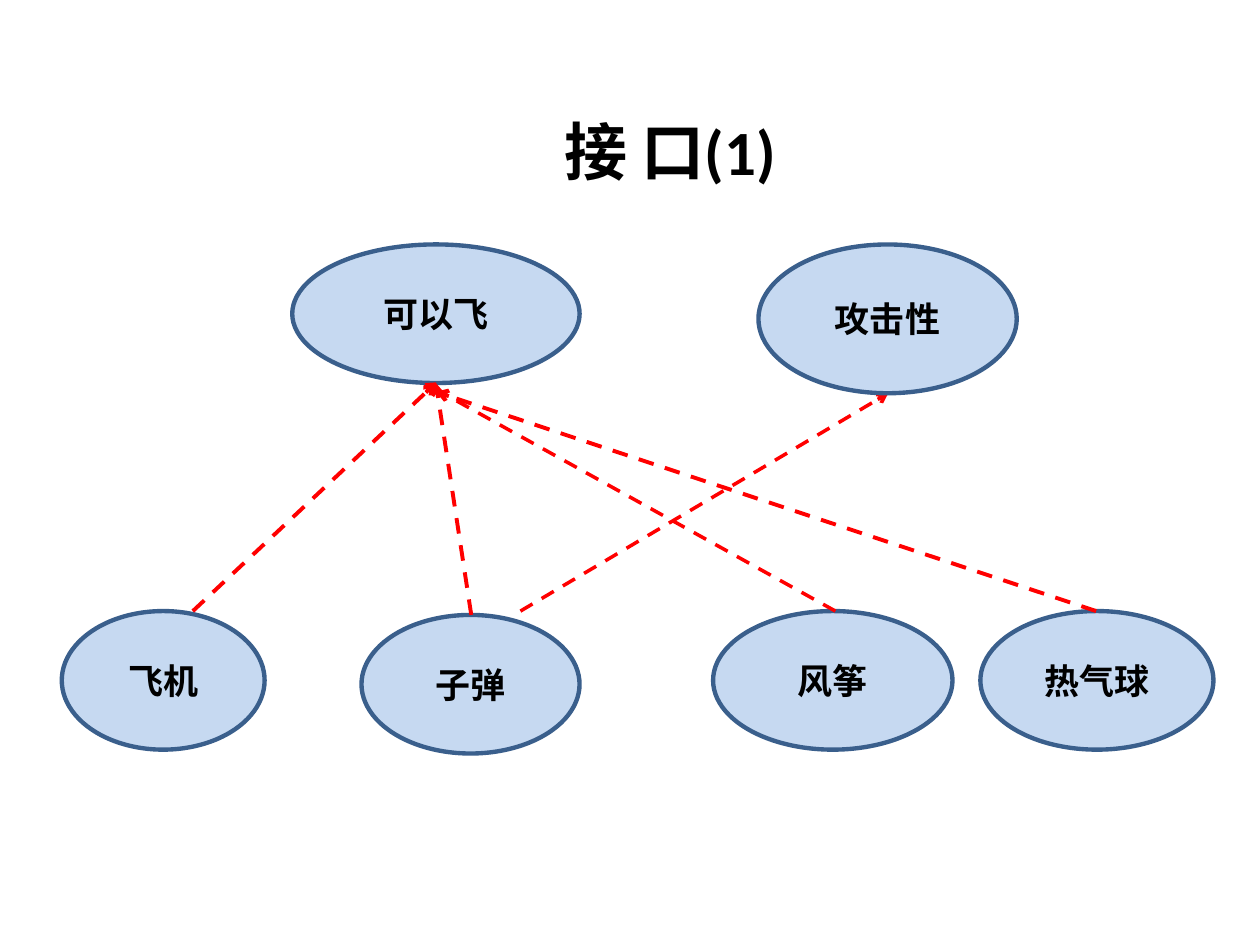
from dataclasses import dataclass

from lxml import etree
from pptx import Presentation
from pptx import util as u
from pptx.dml.color import RGBColor
from pptx.enum import dml, shapes, text
from pptx.oxml import ns


@dataclass(frozen=True)
class Theme:
    ink: RGBColor = RGBColor(0x00, 0x00, 0x00)
    fill: RGBColor = RGBColor(0xC6, 0xD9, 0xF1)
    outline: RGBColor = RGBColor(0x3A, 0x5F, 0x8C)
    arrow: RGBColor = RGBColor(0xFF, 0x00, 0x00)
    title_font: str = "Calibri"
    label_font: str = "Noto Sans CJK SC"
    title_size: float = 36
    label_size: float = 20
    outline_width: float = 2.5


@dataclass(frozen=True)
class Node:
    label: str
    left: float
    top: float
    width: float
    height: float = 79.2


@dataclass(frozen=True)
class Arrow:
    start: tuple[float, float]
    end: tuple[float, float]
    width: float = 2.25


THEME = Theme()
CLASS_TOP = 349.2
INTERFACE_TOP = 139.7
FLYING_FOOT = (249.1, 218.9)

FLYING = Node("可以飞", 167, INTERFACE_TOP, 164.2)
ATTACKING = Node("攻击性", 433.4, INTERFACE_TOP, 147.6, 85)
CLASSES = [
    Node("飞机", 35.3, CLASS_TOP, 115.9),
    Node("风筝", 407.5, CLASS_TOP, 136.8),
    Node("子弹", 206.6, 351.4, 124.6),
    Node("热气球", 560.2, CLASS_TOP, 133.2),
]
ARROWS = [
    Arrow((110.2, CLASS_TOP), FLYING_FOOT),
    Arrow((269.3, 351.4), FLYING_FOOT),
    Arrow((626.4, CLASS_TOP), (249.1, 223.9)),
    Arrow((477.4, CLASS_TOP), (242.6, 218.9), 2),
    Arrow((297.4, CLASS_TOP), (507.6, 224.7), 2),
]


def format_paragraph(para, font_name: str, size: float) -> None:
    para.alignment = text.PP_ALIGN.CENTER
    font = para.font
    font.name = font_name
    font.size = u.Pt(size)
    font.bold = True
    font.color.rgb = THEME.ink
    properties = para._p.pPr.find(ns.qn("a:defRPr"))
    east_asian = etree.SubElement(properties, ns.qn("a:ea"))
    east_asian.set("typeface", THEME.label_font)


def draw_title(page, title: str) -> None:
    box = page.shapes.title
    box.left, box.top = u.Pt(205.9), u.Pt(54.7)
    box.width, box.height = u.Pt(354.2), u.Pt(61.9)
    frame = box.text_frame
    frame.text = title
    frame.vertical_anchor = text.MSO_ANCHOR.MIDDLE
    format_paragraph(frame.paragraphs[0], THEME.title_font, THEME.title_size)


def draw_node(page, node: Node) -> None:
    box = page.shapes.add_shape(
        shapes.MSO_SHAPE.OVAL,
        u.Pt(node.left), u.Pt(node.top), u.Pt(node.width), u.Pt(node.height),
    )
    box.shadow.inherit = False
    box.fill.solid()
    box.fill.fore_color.rgb = THEME.fill
    box.line.color.rgb = THEME.outline
    box.line.width = u.Pt(THEME.outline_width)
    frame = box.text_frame
    frame.text = node.label
    frame.vertical_anchor = text.MSO_ANCHOR.MIDDLE
    format_paragraph(frame.paragraphs[0], THEME.label_font, THEME.label_size)


def draw_arrow(page, arrow: Arrow) -> None:
    connector = page.shapes.add_connector(
        shapes.MSO_CONNECTOR.STRAIGHT,
        *(u.Pt(value) for value in arrow.start + arrow.end),
    )
    line = connector.line
    line.color.rgb = THEME.arrow
    line.width = u.Pt(arrow.width)
    line.dash_style = dml.MSO_LINE.DASH
    properties = connector._element.spPr
    head = etree.SubElement(properties.find(ns.qn("a:ln")), ns.qn("a:tailEnd"))
    head.set("type", "arrow")
    etree.SubElement(properties, ns.qn("a:effectLst"))


def main() -> None:
    deck = Presentation()
    deck.slide_width, deck.slide_height = u.Pt(720), u.Pt(540)
    page = deck.slides.add_slide(deck.slide_layouts.get_by_name("Title Only"))
    draw_title(page, "接 口(1)")
    for node in [FLYING, *CLASSES]:
        draw_node(page, node)
    for arrow in ARROWS:
        draw_arrow(page, arrow)
    draw_node(page, ATTACKING)
    deck.save("out.pptx")


if __name__ == "__main__":
    main()
